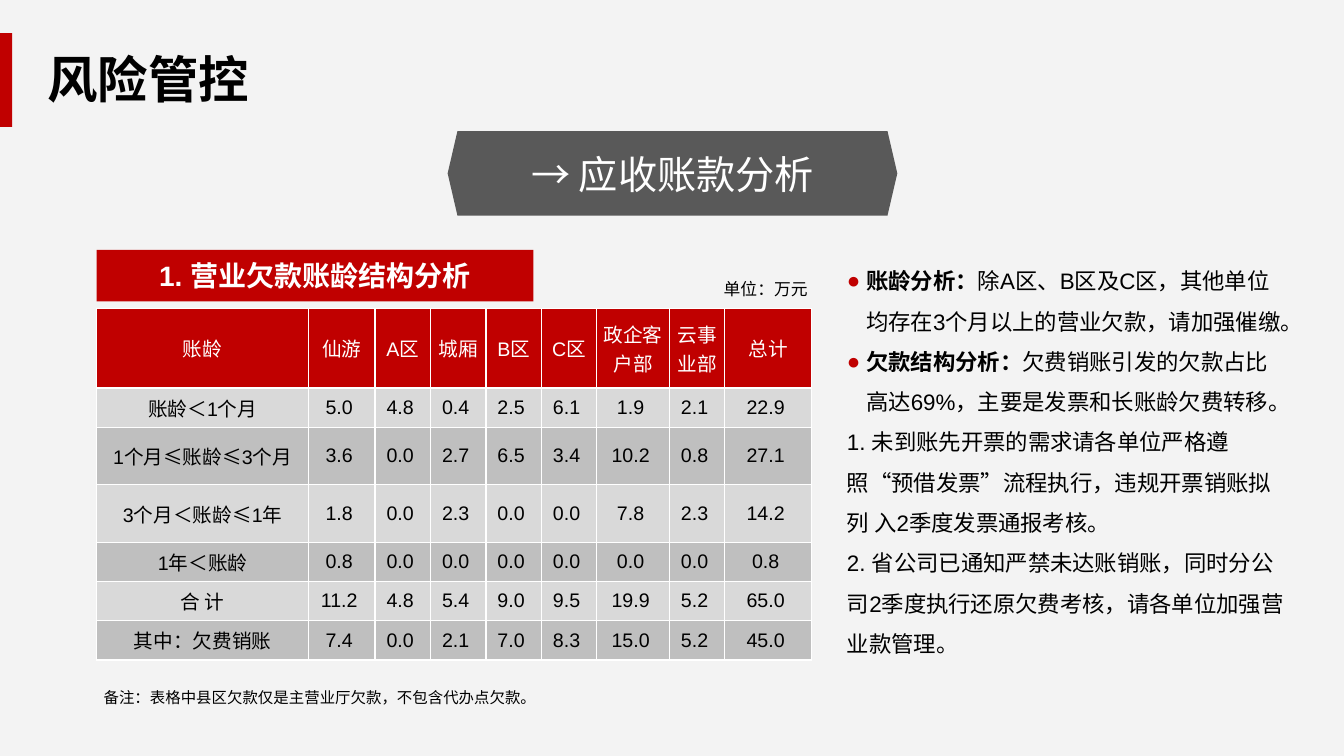
from dataclasses import dataclass

from lxml.etree import SubElement
from pptx import Presentation
from pptx.dml.color import RGBColor
from pptx.enum.shapes import MSO_SHAPE
from pptx.enum.text import MSO_ANCHOR, MSO_AUTO_SIZE, PP_ALIGN
from pptx.oxml.ns import qn
from pptx.util import Inches, Pt


@dataclass(frozen=True)
class Theme:
    font: str = "Arial"
    red: str = "C00000"
    gray: str = "595959"
    back: str = "F3F3F3"
    light: str = "D9D9D9"
    dark: str = "BFBFBF"
    white: str = "FFFFFF"
    black: str = "000000"
    title: int = 36
    banner: int = 28
    head: int = 20
    body: int = 16
    cell: int = 14
    unit: int = 12
    note: int = 11


def put(item, form):
    for name, value in form.items():
        setattr(item, name, value)


class Deck:
    """Holds the theme and the current slide, and draws each kind of element."""

    def __init__(self, theme):
        self.theme = theme
        self.file = Presentation()
        put(self.file, {"slide_width": Inches(13.33), "slide_height": Inches(7.5)})
        self.slide = self.file.slides.add_slide(self.file.slide_layouts[1])
        self.paint(self.slide.background.fill, theme.back)

    def paint(self, fill, color):
        fill.solid()
        fill.fore_color.rgb = RGBColor.from_string(color)

    def place(self, shape, box):
        sides = ("left", "top", "width", "height")
        put(shape, dict(zip(sides, map(Inches, box))))

    def words(self, para, text, size, color, bold=False):
        run = para.add_run()
        run.text = text
        put(run.font, {"name": self.theme.font, "size": Pt(size), "bold": bold})
        run.font.color.rgb = RGBColor.from_string(color)

    def title(self, text, box):
        shape = self.slide.shapes.title
        self.place(shape, box)
        frame = shape.text_frame
        put(frame, {"word_wrap": False, "vertical_anchor": MSO_ANCHOR.TOP,
                    "auto_size": MSO_AUTO_SIZE.SHAPE_TO_FIT_TEXT})
        para = frame.paragraphs[0]
        para.alignment = PP_ALIGN.LEFT
        self.words(para, text, self.theme.title, self.theme.black, True)

    def body(self, items, box):
        shape = self.slide.placeholders[1]
        self.place(shape, box)
        frame = shape.text_frame
        put(frame, {"word_wrap": True, "vertical_anchor": MSO_ANCHOR.TOP,
                    "auto_size": MSO_AUTO_SIZE.SHAPE_TO_FIT_TEXT})
        for i, (lead, text) in enumerate(items):
            para = frame.add_paragraph() if i else frame.paragraphs[0]
            put(para, {"line_spacing": 1.5, "space_before": Pt(0)})
            self.bullet(para, bool(lead))
            if lead:
                self.words(para, lead, self.theme.body, self.theme.black, True)
            self.words(para, text, self.theme.body, self.theme.black)

    def bullet(self, para, shown):
        props = para._p.get_or_add_pPr()
        left, indent = (0.19, -0.24) if shown else (0, 0)
        props.set("marL", str(Inches(left)))
        props.set("indent", str(Inches(indent)))
        if shown:
            tint = SubElement(props, qn("a:buClr"))
            SubElement(tint, qn("a:srgbClr"), val=self.theme.red)
            SubElement(props, qn("a:buFont"), typeface=self.theme.font)
            SubElement(props, qn("a:buChar"), char="●")
        else:
            SubElement(props, qn("a:buNone"))

    def label(self, text, box, size, align=PP_ALIGN.LEFT):
        frame = self.slide.shapes.add_textbox(*map(Inches, box)).text_frame
        put(frame, {"word_wrap": True, "auto_size": MSO_AUTO_SIZE.SHAPE_TO_FIT_TEXT})
        para = frame.paragraphs[0]
        para.alignment = align
        self.words(para, text, size, self.theme.black)

    def block(self, kind, box, color, text="", size=0, bold=False):
        shape = self.slide.shapes.add_shape(kind, *map(Inches, box))
        shape.shadow.inherit = False
        self.paint(shape.fill, color)
        shape.line.fill.background()
        if text:
            frame = shape.text_frame
            frame.vertical_anchor = MSO_ANCHOR.MIDDLE
            para = frame.paragraphs[0]
            para.alignment = PP_ALIGN.CENTER
            self.words(para, text, size, self.theme.white, bold)
        return shape

    def border(self, cell):
        props = cell._tc.get_or_add_tcPr()
        for side in ("lnL", "lnR", "lnT", "lnB"):
            line = SubElement(props, qn("a:" + side), w=str(Pt(1)))
            fill = SubElement(line, qn("a:solidFill"))
            SubElement(fill, qn("a:srgbClr"), val=self.theme.white)

    def table(self, rows, box, widths, heights):
        grid = self.slide.shapes.add_table(
            len(rows), len(widths), *map(Inches, box)).table
        for col, width in zip(grid.columns, widths):
            col.width = Inches(width)
        for row, height in zip(grid.rows, heights):
            row.height = Inches(height)
        for r, row in enumerate(rows):
            band = (self.theme.dark, self.theme.light)[r % 2] if r else self.theme.red
            ink = self.theme.black if r else self.theme.white
            for c, text in enumerate(row):
                cell = grid.cell(r, c)
                put(cell, {"margin_left": 0, "margin_top": 0, "margin_bottom": 0,
                           "margin_right": Inches(0.05 if r and c else 0),
                           "vertical_anchor": MSO_ANCHOR.MIDDLE})
                self.border(cell)
                self.paint(cell.fill, band)
                for i, part in enumerate(text.split("\n")):
                    frame = cell.text_frame
                    para = frame.add_paragraph() if i else frame.paragraphs[0]
                    para.alignment = PP_ALIGN.CENTER
                    self.words(para, part, self.theme.cell, ink)


def main():
    theme = Theme()
    deck = Deck(theme)
    deck.block(MSO_SHAPE.RECTANGLE, (0, 0.33, 0.12, 0.93), theme.red)
    deck.title("风险管控", (0.37, 0.43, 2.22, 0.71))
    banner = deck.block(MSO_SHAPE.HEXAGON, (4.44, 1.3, 4.46, 0.84), theme.gray,
                        "→ 应收账款分析", theme.banner)
    banner.adjustments[0] = 0.116
    ages = [
        ("账龄", "仙游", "A区", "城厢", "B区", "C区", "政企客户部", "云事\n业部", "总计"),
        ("账龄＜1个月", "5.0", "4.8", "0.4", "2.5", "6.1", "1.9", "2.1", "22.9"),
        ("1个月≤账龄≤3个月", "3.6", "0.0", "2.7", "6.5", "3.4", "10.2", "0.8", "27.1"),
        ("3个月＜账龄≤1年", "1.8", "0.0", "2.3", "0.0", "0.0", "7.8", "2.3", "14.2"),
        ("1年＜账龄", "0.8", "0.0", "0.0", "0.0", "0.0", "0.0", "0.0", "0.8"),
        ("合 计", "11.2", "4.8", "5.4", "9.0", "9.5", "19.9", "5.2", "65.0"),
        ("其中：欠费销账", "7.4", "0.0", "2.1", "7.0", "8.3", "15.0", "5.2", "45.0"),
    ]
    deck.table(ages, (0.96, 3.06, 7.1, 3.5),
               [2.1, 0.66] + [0.55] * 4 + [0.72, 0.55, 0.86],
               [0.79, 0.39, 0.57, 0.57] + [0.39] * 3)
    deck.label("单位：万元", (6.61, 2.72, 1.5, 0.3), theme.unit, PP_ALIGN.RIGHT)
    deck.label("备注：表格中县区欠款仅是主营业厅欠款，不包含代办点欠款。",
               (0.93, 6.78, 5.16, 0.29), theme.note)
    deck.body([
        ("账龄分析：", "除A区、B区及C区，其他单位均存在3个月以上的营业欠款，请加强催缴。"),
        ("欠款结构分析：", "欠费销账引发的欠款占比高达69%，主要是发票和长账龄欠费转移。"),
        ("", "1. 未到账先开票的需求请各单位严格遵照“预借发票”流程执行，"
             "违规开票销账拟列 入2季度发票通报考核。"),
        ("", "2. 省公司已通知严禁未达账销账，同时分公司2季度执行还原欠费考核，"
             "请各单位加强营业款管理。"),
    ], (8.3, 2.47, 4.57, 4.14))
    deck.block(MSO_SHAPE.RECTANGLE, (0.96, 2.48, 4.33, 0.51), theme.red,
               "1. 营业欠款账龄结构分析", theme.head, True)
    deck.file.save("out.pptx")


if __name__ == "__main__":
    main()
